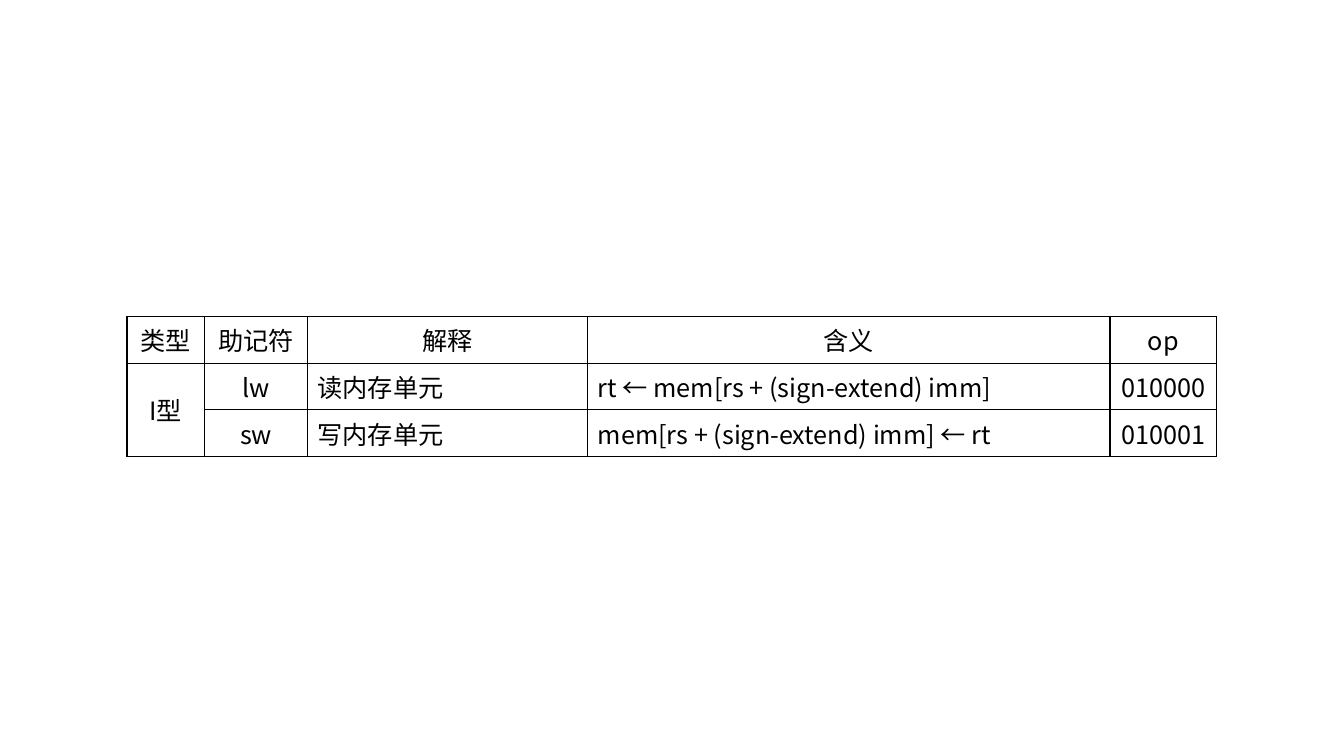
from dataclasses import dataclass

from lxml.etree import SubElement as Sub
from pptx import Presentation
from pptx.dml.color import RGBColor as Color
from pptx.enum.text import MSO_ANCHOR as Anchor, PP_ALIGN as Align
from pptx.oxml.ns import qn
from pptx.util import Inches, Pt


@dataclass(frozen=True)
class Theme:
    font: str = "Noto Sans CJK SC"
    size: int = 18
    ink: str = "000000"
    paper: str = "FFFFFF"
    line: int = 1


THEME = Theme()
COLS = (0.77, 1.02, 2.78, 5.18, 1.06)
ROW = 0.41
LEFT_COLS = (2, 3)
ROWS = (
    ("类型", "助记符", "解释", "含义", "op"),
    ("I型", "lw", "读内存单元", "rt ← mem[rs + (sign-extend) imm]", "010000"),
    ("", "sw", "写内存单元", "mem[rs + (sign-extend) imm] ← rt", "010001"),
)


def add_run(para, text):
    run = para.add_run()
    run.text = text
    font = run.font
    font.name = THEME.font
    font.size = Pt(THEME.size)
    font.color.rgb = Color.from_string(THEME.ink)
    Sub(font._element, qn("a:ea"), typeface=THEME.font)


def add_edges(cell):
    props = cell._tc.get_or_add_tcPr()
    for side in ("lnL", "lnR", "lnT", "lnB"):
        edge = Sub(props, qn(f"a:{side}"), w=str(Pt(THEME.line)))
        fill = Sub(edge, qn("a:solidFill"))
        Sub(fill, qn("a:srgbClr"), val=THEME.ink)


def fill_cell(cell, text, align):
    add_edges(cell)
    cell.fill.solid()
    cell.fill.fore_color.rgb = Color.from_string(THEME.paper)
    cell.vertical_anchor = Anchor.MIDDLE
    para = cell.text_frame.paragraphs[0]
    para.alignment = align
    if text:
        add_run(para, text)


def add_grid(slide, left, top):
    frame = slide.shapes.add_table(
        len(ROWS), len(COLS), Inches(left), Inches(top),
        Inches(sum(COLS)), Inches(ROW * len(ROWS)))
    table = frame.table
    table.first_row = False
    table.horz_banding = False
    for col, width in zip(table.columns, COLS):
        col.width = Inches(width)
    for row in table.rows:
        row.height = Inches(ROW)
    for y, row in enumerate(ROWS):
        for x, text in enumerate(row):
            left_set = y > 0 and x in LEFT_COLS
            align = Align.LEFT if left_set else Align.CENTER
            fill_cell(table.cell(y, x), text, align)
    table.cell(1, 0).merge(table.cell(2, 0))


def main():
    deck = Presentation()
    deck.slide_width = Inches(13.33)
    deck.slide_height = Inches(7.5)
    slide = deck.slides.add_slide(deck.slide_layouts[6])
    add_grid(slide, 1.26, 3.14)
    deck.save("out.pptx")


if __name__ == "__main__":
    main()
